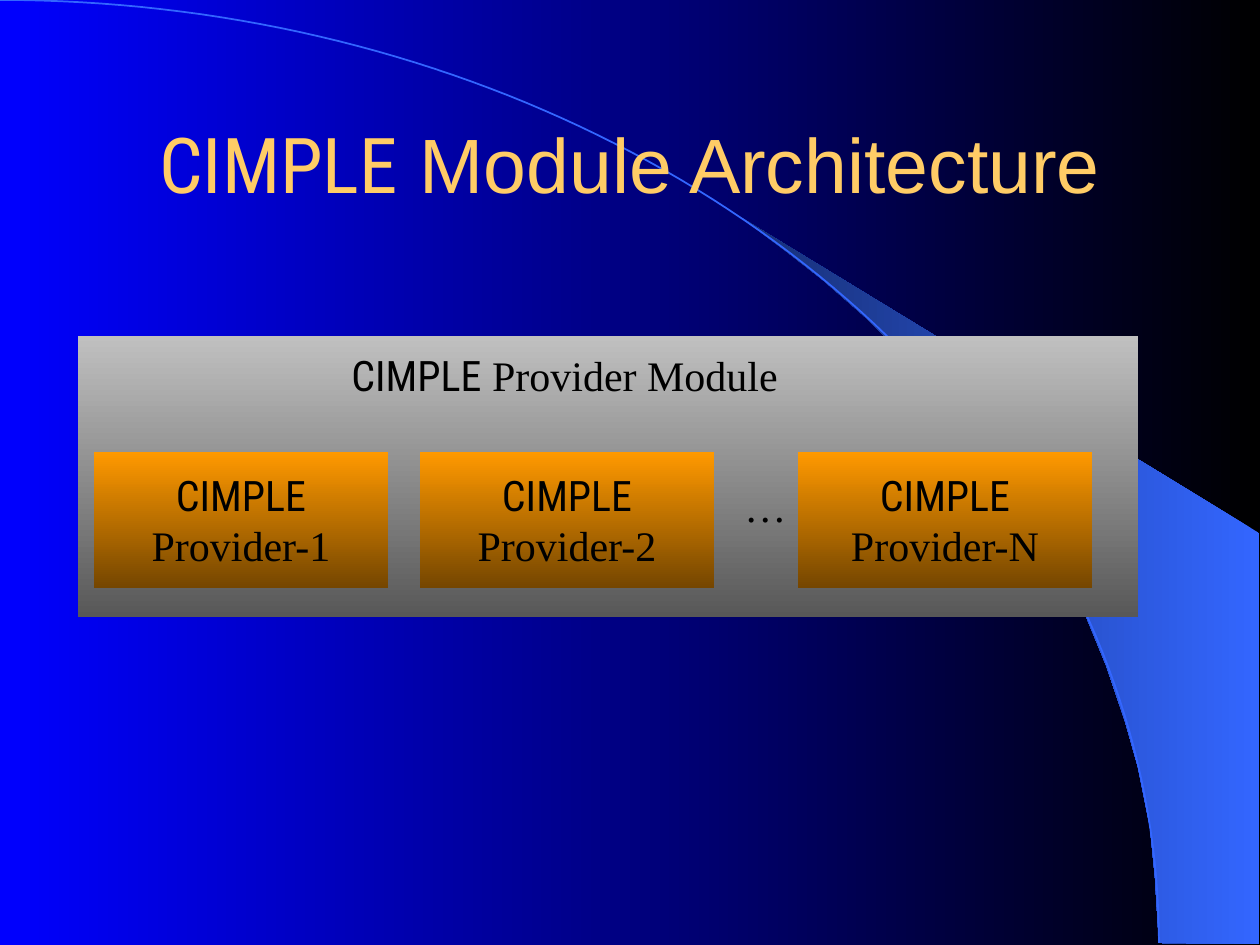
import math
from dataclasses import dataclass

from pptx import Presentation
from pptx import util as u
from pptx.dml.color import RGBColor
from pptx.enum import shapes, text

EMU_PER_PIXEL = u.Inches(1) / 126


@dataclass(frozen=True)
class Theme:
    background: tuple = ("000000", "0000FF")
    sweep: tuple = ("3366FF", "172F75")
    module: tuple = ("C0C0C0", "585858")
    provider: tuple = ("FF9900", "754600")
    arc: str = "3366FF"
    title: str = "FFCC66"
    ink: str = "000000"
    name_font: str = "Roboto Condensed"
    title_font: str = "Arial"
    body_font: str = "Times New Roman"
    title_size: int = 44
    body_size: int = 24


THEME = Theme()
LEFTWARD, DOWNWARD = 180, 270
NAME = "CIMPLE"


def px(value):
    return u.Emu(round(value * EMU_PER_PIXEL))


def set_gradient(fill, colors, angle):
    fill.gradient()
    fill.gradient_angle = angle
    for stop, color in zip(fill.gradient_stops, colors):
        stop.color.rgb = RGBColor.from_string(color)


def add_outline(slide, points, closed):
    start, *rest = [(px(x), px(y)) for x, y in points]
    builder = slide.shapes.build_freeform(*start)
    builder.add_line_segments(rest, close=closed)
    shape = builder.convert_to_shape()
    shape.shadow.inherit = False
    return shape


def add_block(slide, box, colors):
    shape = slide.shapes.add_shape(shapes.MSO_SHAPE.RECTANGLE, *map(px, box))
    shape.shadow.inherit = False
    shape.line.fill.background()
    set_gradient(shape.fill, colors, DOWNWARD)
    return shape


def write(frame, lines, size, color, align, anchor):
    """Fill a frame; each line is a list of (text, font name) runs."""
    frame.word_wrap = False
    frame.vertical_anchor = anchor
    for index, runs in enumerate(lines):
        paragraph = frame.add_paragraph() if index else frame.paragraphs[0]
        paragraph.alignment = align
        paragraph.font.size = u.Pt(size)
        paragraph.font.color.rgb = RGBColor.from_string(color)
        for words, font in runs:
            run = paragraph.add_run()
            run.text = words
            run.font.name = font


def add_label(slide, box, runs):
    frame = slide.shapes.add_textbox(*map(px, box)).text_frame
    write(frame, [runs], THEME.body_size, THEME.ink,
          text.PP_ALIGN.LEFT, text.MSO_ANCHOR.TOP)


def add_provider(slide, left, suffix):
    block = add_block(slide, (left, 452, 294, 136), THEME.provider)
    lines = [[(NAME, THEME.name_font)],
             [(f"Provider-{suffix}", THEME.body_font)]]
    write(block.text_frame, lines, THEME.body_size, THEME.ink,
          text.PP_ALIGN.CENTER, text.MSO_ANCHOR.MIDDLE)


def add_backdrop(slide):
    set_gradient(slide.background.fill, THEME.background, LEFTWARD)

    # Bright sweep at the right edge
    sweep = add_outline(slide, [
        (1159, 943), (1259, 944), (1259, 533), (742, 218), (786, 251),
        (823, 280), (863, 315), (902, 353), (960, 416), (1012, 484),
        (1048, 543), (1081, 604), (1106, 665), (1125, 721), (1138, 767),
        (1150, 827), (1155, 877)], closed=True)
    sweep.line.fill.background()
    set_gradient(sweep.fill, THEME.sweep, LEFTWARD)

    # Quarter ellipse from the top left corner
    steps = 90
    angles = [math.pi / 2 * step / steps for step in range(steps + 1)]
    arc = add_outline(slide, [(1159 * math.sin(a), 943 * (1 - math.cos(a)))
                              for a in angles], closed=False)
    arc.fill.background()
    arc.line.color.rgb = RGBColor.from_string(THEME.arc)
    arc.line.width = u.Pt(1)


def place_title(slide):
    title = slide.shapes.title
    title.left, title.top, title.width, title.height = map(
        px, (94, 84, 1072, 158))
    write(title.text_frame,
          [[(NAME, THEME.name_font),
            (" Module Architecture", THEME.title_font)]],
          THEME.title_size, THEME.title,
          text.PP_ALIGN.CENTER, text.MSO_ANCHOR.MIDDLE)
    title.text_frame.word_wrap = True
    title.text_frame.auto_size = text.MSO_AUTO_SIZE.NONE
    # Bring the title in front of the backdrop
    slide.shapes._spTree.append(title._element)


def main():
    presentation = Presentation()
    presentation.slide_width, presentation.slide_height = px(1260), px(945)
    slide = presentation.slides.add_slide(presentation.slide_layouts[5])

    add_backdrop(slide)
    place_title(slide)

    # Module with its providers
    add_block(slide, (78, 336, 1060, 281), THEME.module)
    add_label(slide, (339, 343, 471, 63),
              [(NAME, THEME.name_font),
               (" Provider Module", THEME.body_font)])
    for left, suffix in ((94, "1"), (420, "2"), (798, "N")):
        add_provider(slide, left, suffix)
    add_label(slide, (732, 474, 67, 63), [("…", THEME.body_font)])

    presentation.save("out.pptx")


main()
